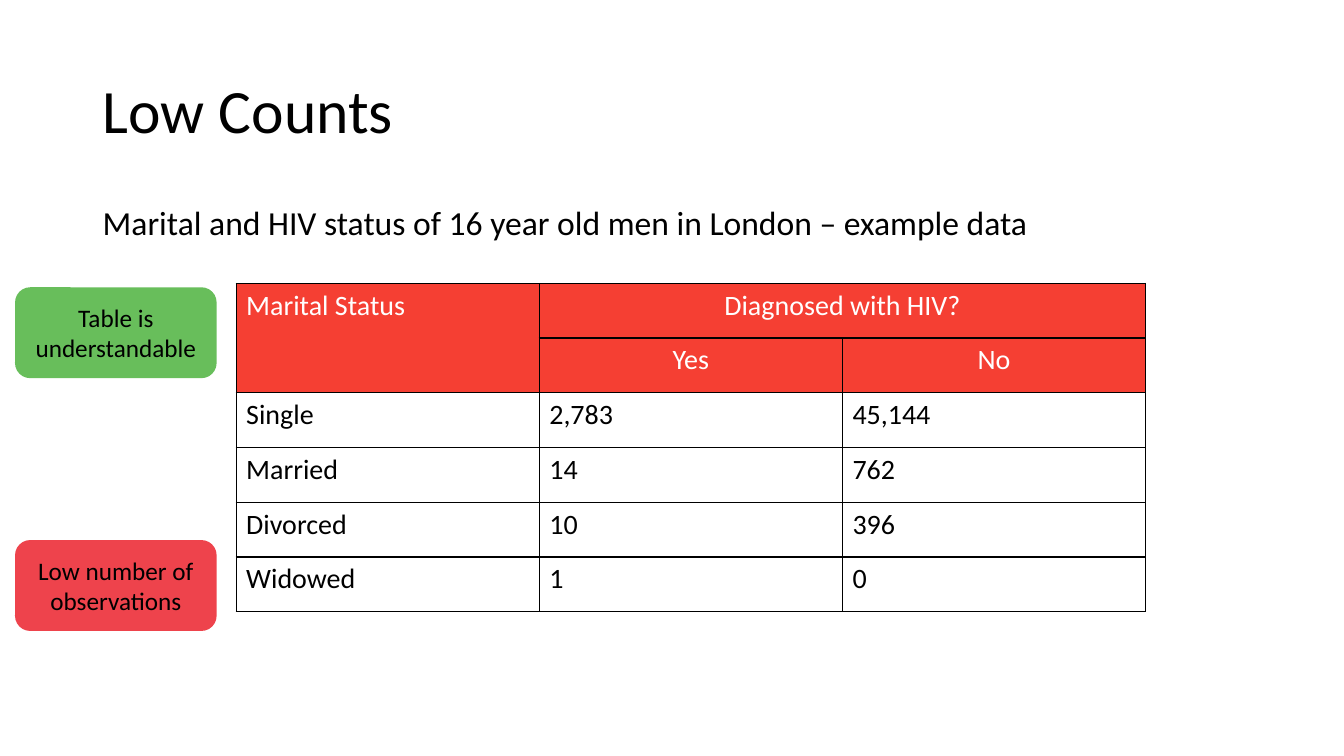
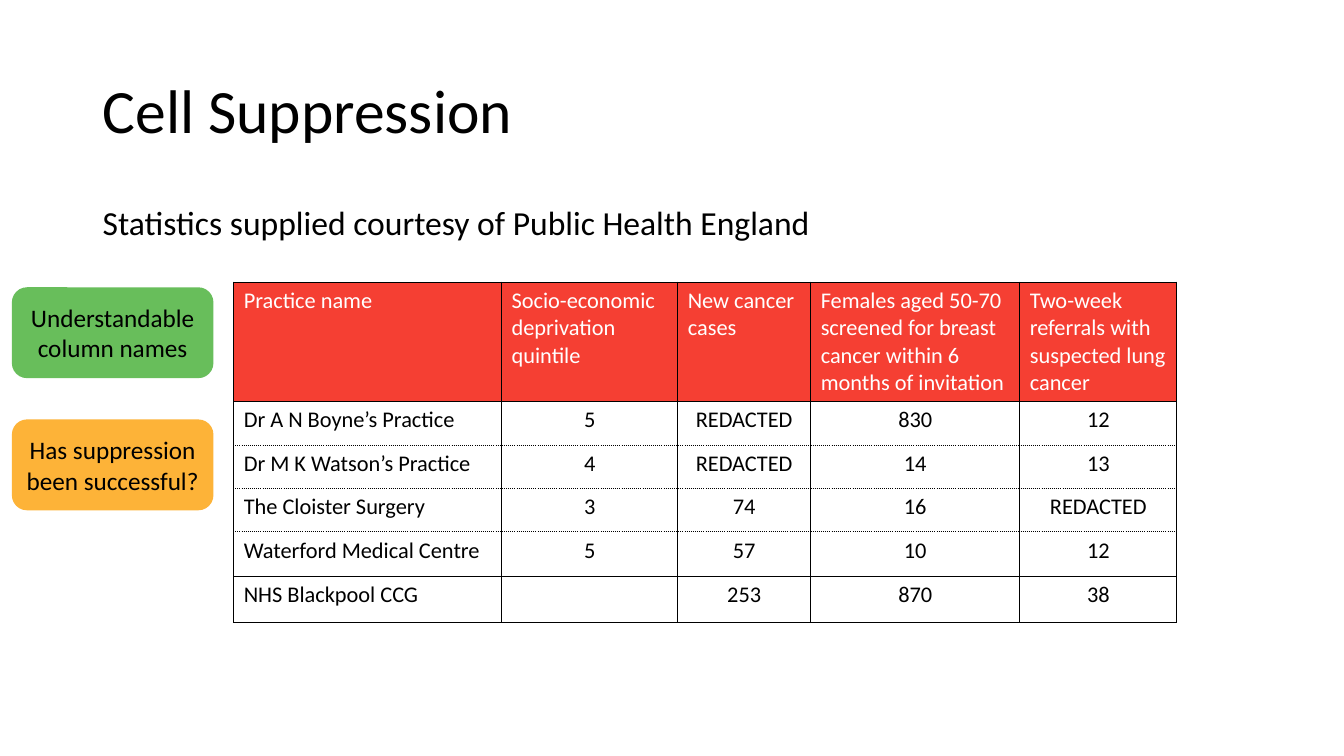
from lxml import etree
from pptx import Presentation
from pptx.dml.color import RGBColor
from pptx.enum.shapes import MSO_SHAPE
from pptx.enum.text import MSO_ANCHOR, PP_ALIGN
from pptx.oxml.ns import qn
from pptx.util import Cm, Pt

FONT = "Calibri"
BLACK, WHITE = "000000", "FFFFFF"
RED, GREEN, CORAL, AMBER = "F53F33", "68BE5B", "EE434C", "FDB338"
LEFT, CENTER = PP_ALIGN.LEFT, PP_ALIGN.CENTER

SLIDES = [
    {
        "title": "Low Counts",
        "subtitle": "Marital and HIV status of 16 year old men in London – example data",
        "at": (5.95, 7.14),
        "cols": [7.64] * 3,
        "rows": [1.38] * 6,
        "size": 20,
        "header_rows": 2,
        "header_aligns": [LEFT, CENTER, CENTER],
        "body_aligns": [LEFT] * 3,
        "merges": [((0, 0), (1, 0)), ((0, 1), (0, 2))],
        "dotted_below": [],
        "cells": [
            ("Marital Status", "Diagnosed with HIV?", ""),
            ("", "Yes", "No"),
            ("Single", "2,783", "45,144"),
            ("Married", "14", "762"),
            ("Divorced", "10", "396"),
            ("Widowed", "1", "0"),
        ],
        "note_left": 0.38,
        "notes": [("Table is understandable", GREEN, 7.24),
                  ("Low number of observations", CORAL, 13.61)],
    },
    {
        "title": "Cell Suppression",
        "subtitle": "Statistics supplied courtesy of Public Health England",
        "at": (5.89, 7.11),
        "cols": [6.75, 4.44, 3.35, 5.27, 3.96],
        "rows": [3, 1.11, 1.08, 1.1, 1.13, 1.15],
        "size": 16,
        "header_rows": 1,
        "header_aligns": [LEFT] * 5,
        "body_aligns": [LEFT] + [CENTER] * 4,
        "merges": [],
        "dotted_below": [1, 2, 3],
        "cells": [
            ("Practice name", "Socio-economic deprivation quintile", "New cancer cases",
             "Females aged 50-70 screened for breast cancer within 6 months of invitation",
             "Two-week referrals with suspected lung cancer"),
            ("Dr A N Boyne’s Practice", "5", "REDACTED", "830", "12"),
            ("Dr M K Watson’s Practice", "4", "REDACTED", "14", "13"),
            ("The Cloister Surgery", "3", "74", "16", "REDACTED"),
            ("Waterford Medical Centre", "5", "57", "10", "12"),
            ("NHS Blackpool CCG", "", "253", "870", "38"),
        ],
        "note_left": 0.3,
        "notes": [("Understandable column names", GREEN, 7.24),
                  ("Has suppression been successful?", AMBER, 10.57)],
    },
]


def rgb(value):
    """Turn a hex string into a colour."""
    return RGBColor.from_string(value)


def write(tf, text, size, color=BLACK, align=LEFT):
    """Put one styled paragraph into a text frame and return it."""
    tf.word_wrap = True
    p = tf.paragraphs[0]
    p.text = text
    p.alignment = align
    p.font.name, p.font.size = FONT, Pt(size)
    p.font.color.rgb = rgb(color)
    return p


def add_text(s, text, top, height, size, anchor):
    """Add a full-width line of title or body text."""
    sp = s.shapes.add_textbox(Cm(2.34), Cm(top), Cm(29.21), Cm(height))
    sp.text_frame.vertical_anchor = anchor
    p = write(sp.text_frame, text, size)
    p.line_spacing = 0.9
    return p


def add_note(s, text, fill, left, top):
    """Add a rounded comment box beside the table."""
    sp = s.shapes.add_shape(MSO_SHAPE.ROUNDED_RECTANGLE, Cm(left), Cm(top), Cm(5.08), Cm(2.29))
    sp.shadow.inherit = False
    sp.fill.solid()
    sp.fill.fore_color.rgb = rgb(fill)
    sp.line.fill.background()
    sp.text_frame.vertical_anchor = MSO_ANCHOR.MIDDLE
    write(sp.text_frame, text, 18, align=CENTER)


def set_borders(cell, dotted):
    """Draw 1 pt black borders, dotted on the named sides."""
    tc_pr = cell._tc.get_or_add_tcPr()
    for side in ("L", "R", "T", "B"):
        ln = etree.SubElement(tc_pr, qn(f"a:ln{side}"), w=str(Pt(1)))
        fill = etree.SubElement(ln, qn("a:solidFill"))
        etree.SubElement(fill, qn("a:srgbClr"), val=BLACK)
        etree.SubElement(ln, qn("a:prstDash"), val="sysDot" if side in dotted else "solid")


def add_table(s, data):
    """Add the table with its header fill, borders and merged cells."""
    cols, rows = data["cols"], data["rows"]
    left, top = data["at"]
    table = s.shapes.add_table(len(rows), len(cols), Cm(left), Cm(top),
                               Cm(sum(cols)), Cm(sum(rows))).table
    table.first_row = table.horz_banding = False
    for column, width in zip(table.columns, cols):
        column.width = Cm(width)
    for r, (row, height) in enumerate(zip(table.rows, rows)):
        row.height = Cm(height)
        header = r < data["header_rows"]
        aligns = data["header_aligns"] if header else data["body_aligns"]
        dotted = [side for side, line in (("T", r - 1), ("B", r)) if line in data["dotted_below"]]
        for cell, text, align in zip(row.cells, data["cells"][r], aligns):
            set_borders(cell, dotted)
            if header:
                cell.fill.solid()
                cell.fill.fore_color.rgb = rgb(RED)
            else:
                cell.fill.background()
            write(cell.text_frame, text, data["size"], WHITE if header else BLACK, align)
    for first, last in data["merges"]:
        table.cell(*first).merge(table.cell(*last))


def build_slide(prs, data):
    """Build one slide: title, subtitle, table and comment boxes."""
    s = prs.slides.add_slide(prs.slide_layouts[6])
    add_text(s, data["title"], 1.02, 3.68, 44, MSO_ANCHOR.MIDDLE)
    add_text(s, data["subtitle"], 5.08, 12.09, 24, MSO_ANCHOR.TOP).space_before = Pt(10)
    add_table(s, data)
    for text, fill, top in data["notes"]:
        add_note(s, text, fill, data["note_left"], top)


prs = Presentation()
prs.slide_width, prs.slide_height = Cm(33.87), Cm(19.05)
for data in SLIDES:
    build_slide(prs, data)
prs.save("out.pptx")
